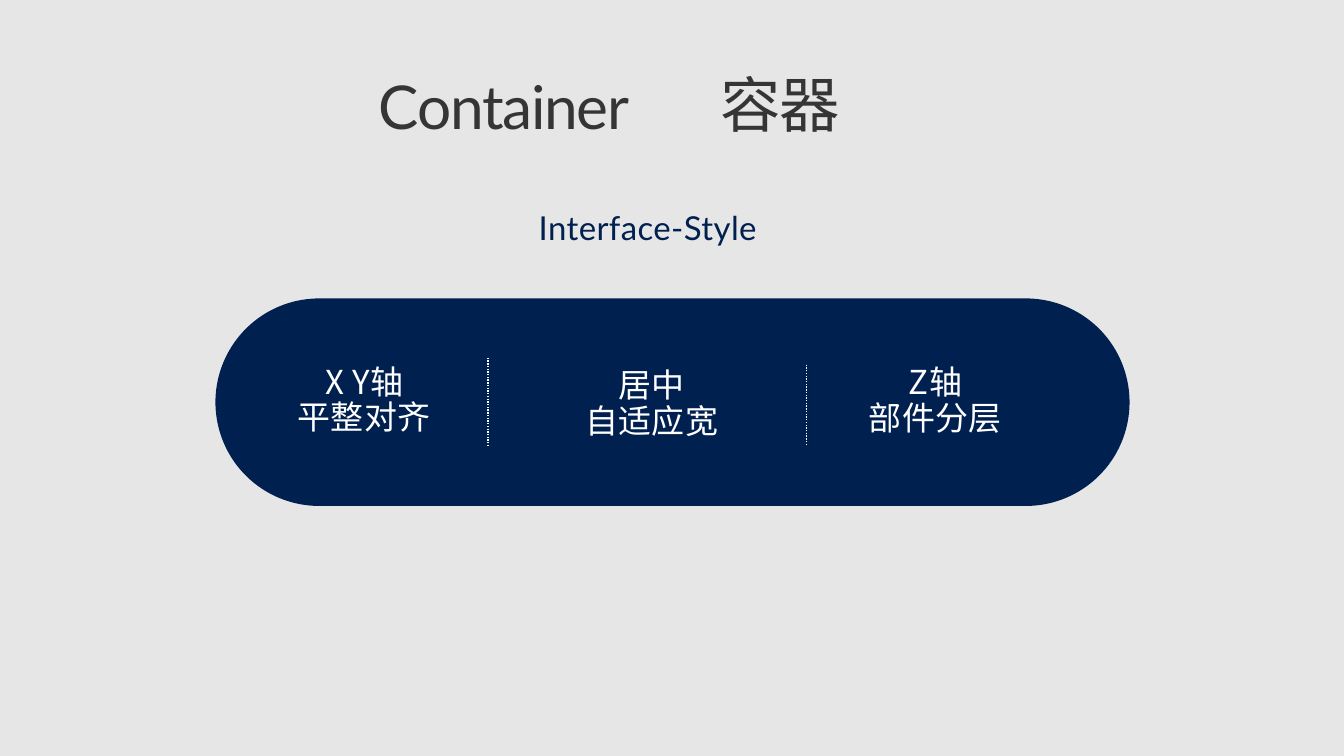
from pptx import Presentation
from pptx.dml.color import RGBColor
from pptx.enum.dml import MSO_LINE
from pptx.enum.shapes import MSO_CONNECTOR, MSO_SHAPE
from pptx.enum.text import MSO_ANCHOR, PP_ALIGN
from pptx.oxml.ns import qn
from pptx.util import Inches, Pt

COLORS = {"background": "E6E6E6", "navy": "002050", "title": "353535", "white": "FFFFFF"}
LATIN = "Lato"
CHINESE = "Noto Sans CJK SC"


def rgb(name):
    return RGBColor.from_string(COLORS[name])


def add_text(slide, text, left, top, width, height, *, color, font=CHINESE, size=24,
             tracking=0.3, line_spacing=0.9, anchor=MSO_ANCHOR.TOP, wrap=True):
    """Add centred text, one paragraph per line; tracking is in points."""
    box = slide.shapes.add_textbox(Inches(left), Inches(top), Inches(width), Inches(height))
    frame = box.text_frame
    frame.word_wrap = wrap
    frame.vertical_anchor = anchor
    for index, line in enumerate(text.split("\n")):
        paragraph = frame.add_paragraph() if index else frame.paragraphs[0]
        paragraph.alignment = PP_ALIGN.CENTER
        paragraph.line_spacing = line_spacing
        run = paragraph.add_run()
        run.text = line
        run.font.size = Pt(size)
        run.font.color.rgb = rgb(color)
        run.font.name = font
        # Letter spacing and East Asian typeface
        properties = run.font._element
        properties.set("spc", str(round(tracking * 100)))
        east_asian = properties.makeelement(qn("a:ea"), {"typeface": font})
        properties.find(qn("a:latin")).addnext(east_asian)


def add_pill(slide, left, top, width, height):
    pill = slide.shapes.add_shape(MSO_SHAPE.ROUNDED_RECTANGLE, Inches(left), Inches(top),
                                  Inches(width), Inches(height))
    pill.adjustments[0] = 0.5
    pill.shadow.inherit = False
    pill.fill.solid()
    pill.fill.fore_color.rgb = rgb("navy")
    pill.line.fill.background()


def add_divider(slide, x, top, bottom):
    divider = slide.shapes.add_connector(MSO_CONNECTOR.STRAIGHT, Inches(x), Inches(top),
                                         Inches(x), Inches(bottom))
    divider.line.color.rgb = rgb("white")
    divider.line.width = Pt(1)
    divider.line.dash_style = MSO_LINE.ROUND_DOT
    properties = divider._element.spPr
    properties.append(properties.makeelement(qn("a:effectLst"), {}))


def main():
    presentation = Presentation()
    presentation.slide_width = Inches(13.6)
    presentation.slide_height = Inches(7.65)
    slide = presentation.slides.add_slide(presentation.slide_layouts[6])
    slide.background.fill.solid()
    slide.background.fill.fore_color.rgb = rgb("background")

    # Title in two languages
    for title, font, left, top in (("Container", LATIN, 3.6, 0.61),
                                   ("容器", CHINESE, 6.4, 0.59)):
        add_text(slide, title, left, top, 3, 1, color="title", font=font, size=44,
                 tracking=-1, anchor=MSO_ANCHOR.MIDDLE, wrap=False)

    # Subtitle
    add_text(slide, "Interface-Style", 0.9, 2.05, 11.31, 0.5, color="navy", font=LATIN,
             line_spacing=1.0)

    # Container band with its three properties
    add_pill(slide, 2.18, 3.02, 9.25, 2.1)
    for label, left, top in (("X Y轴\n平整对齐", 2.38, 3.65),
                             ("居中\n自适应宽", 5.29, 3.69),
                             ("Z轴\n部件分层", 8.16, 3.66)):
        add_text(slide, label, left, top, 2.61, 0.83, color="white")

    # Dotted dividers
    for x, top, bottom in ((4.94, 3.62, 4.52), (8.16, 3.69, 4.5)):
        add_divider(slide, x, top, bottom)

    presentation.save("out.pptx")


if __name__ == "__main__":
    main()
